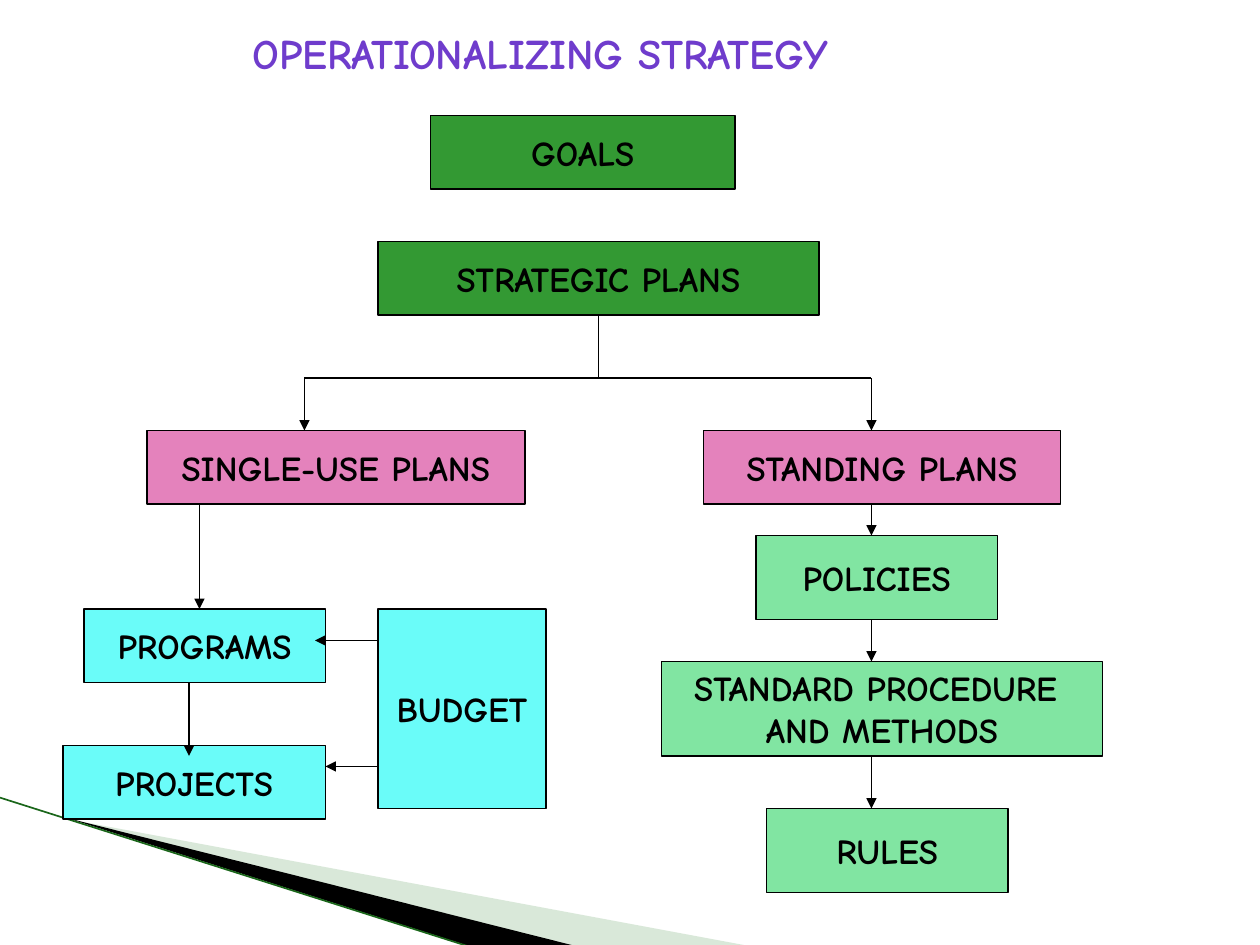
"""Build a slide that charts how strategy becomes plans."""
from lxml.etree import SubElement
from pptx import Presentation
from pptx.dml.color import RGBColor
from pptx.enum.shapes import MSO_CONNECTOR, MSO_SHAPE
from pptx.enum.text import MSO_ANCHOR, PP_ALIGN
from pptx.oxml.ns import qn
from pptx.util import Cm, Pt

GREEN, PINK, CYAN, MINT = "339933", "E482BC", "6AFCF9", "81E5A2"
BOXES = [
    ("GOALS", GREEN, 41, 11, 29, 7),
    ("STRATEGIC PLANS", GREEN, 36, 23, 42, 7),
    ("SINGLE-USE PLANS", PINK, 14, 41, 36, 7),
    ("STANDING PLANS", PINK, 67, 41, 34, 7),
    ("PROGRAMS", CYAN, 8, 58, 23, 7),
    ("PROJECTS", CYAN, 6, 71, 25, 7),
    ("BUDGET", CYAN, 36, 58, 16, 19),
    ("POLICIES", MINT, 72, 51, 23, 8),
    ("STANDARD PROCEDURE \nAND METHODS", MINT, 63, 63, 42, 9),
    ("RULES", MINT, 73, 77, 23, 8),
]
STEMS = [(29, 36, 83, 36), (57, 30, 57, 36)]
ARROWS = [
    (29, 36, 29, 41), (83, 36, 83, 41), (83, 48, 83, 51),
    (83, 59, 83, 63), (83, 72, 83, 77), (19, 48, 19, 58),
    (18, 65, 18, 72), (36, 61, 30, 61), (36, 73, 31, 73),
]


def color(code):
    return RGBColor.from_string(code)


def grid(*steps):
    return [Cm(2.54 * step / 12) for step in steps]


def write(frame, text, size=20, ink="000000", align=PP_ALIGN.CENTER, wrap=False):
    frame.word_wrap = wrap
    frame.vertical_anchor = MSO_ANCHOR.MIDDLE
    frame.text = text
    for para in frame.paragraphs:
        para.alignment = align
        font = para.runs[0].font
        font.name, font.size, font.bold = "Comic Neue", Pt(size), True
        font.color.rgb = color(ink)


class Chart:
    def __init__(self, deck, ink="000000", width=0.75):
        self.slide = deck.slides.add_slide(deck.slide_layouts[5])
        self.shapes = self.slide.shapes
        self.ink, self.width = ink, width

    def title(self, text, left, top, width, height):
        head = self.shapes.title
        head.left, head.top = Cm(left), Cm(top)
        head.width, head.height = Cm(width), Cm(height)
        write(head.text_frame, text, size=24, ink="6F3CCC",
              align=PP_ALIGN.LEFT, wrap=True)

    def wedge(self, points, fill, alpha=None):
        first, *rest = [(Cm(x), Cm(y)) for x, y in points]
        path = self.shapes.build_freeform(*first)
        path.add_line_segments(rest)
        shape = path.convert_to_shape()
        shape.shadow.inherit = False
        shape.fill.solid()
        shape.fill.fore_color.rgb = color(fill)
        shape.line.fill.background()
        if alpha:
            tone = shape.fill._xPr.find(".//" + qn("a:srgbClr"))
            SubElement(tone, qn("a:alpha"), val=str(alpha * 1000))

    def box(self, text, fill, *place):
        shape = self.shapes.add_shape(MSO_SHAPE.RECTANGLE, *grid(*place))
        shape.shadow.inherit = False
        shape.fill.solid()
        shape.fill.fore_color.rgb = color(fill)
        shape.line.color.rgb = color(self.ink)
        shape.line.width = Pt(self.width)
        write(shape.text_frame, text)

    def line(self, ends, ink=None, width=None, arrow=False):
        link = self.shapes.add_connector(MSO_CONNECTOR.STRAIGHT, *ends)
        link.line.color.rgb = color(ink or self.ink)
        link.line.width = Pt(width or self.width)
        if arrow:
            SubElement(link.line._get_or_add_ln(), qn("a:tailEnd"), type="triangle")
        SubElement(link._element.spPr, qn("a:effectLst"))


def main():
    deck = Presentation()
    deck.slide_width, deck.slide_height = Cm(25.4), Cm(19.05)
    chart = Chart(deck)
    chart.wedge([(1.4, 16.52), (15.1, 19.07), (11.58, 19.07)], "A2C7A2", alpha=40)
    chart.wedge([(1.35, 16.49), (11.6, 19.07), (9.45, 19.07)], "000000")
    chart.line([Cm(0), Cm(16.08), Cm(9.42), Cm(19.07)], ink="1A661A", width=0.95)
    for item in BOXES:
        chart.box(*item)
    chart.title("OPERATIONALIZING STRATEGY", 4.83, 0.43, 15.44, 1.27)
    for ends in STEMS:
        chart.line(grid(*ends))
    for ends in ARROWS:
        chart.line(grid(*ends), arrow=True)
    deck.save("out.pptx")


if __name__ == "__main__":
    main()
